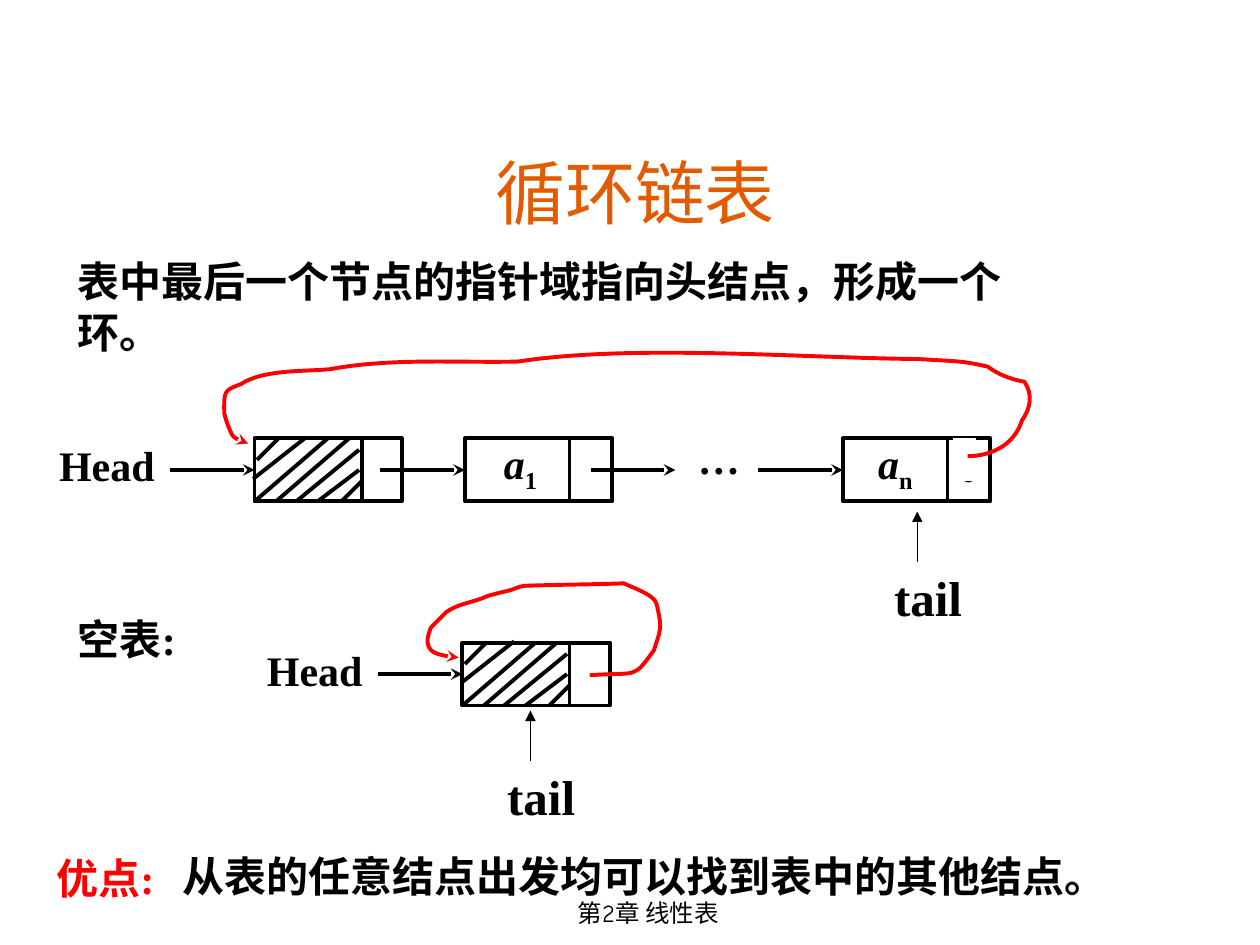
from lxml import etree
from pptx import Presentation, util as u
from pptx.dml.color import RGBColor
from pptx.enum import shapes, text
from pptx.oxml.ns import qn

PX = 9144  # 100 px to the inch
BLACK, RED, WHITE = "000000", "FF0000", "FFFFFF"
ROMAN, COMIC = "Times New Roman", "Comic Neue"

prs = Presentation()
prs.slide_width, prs.slide_height = 1000 * PX, 750 * PX
slide = prs.slides.add_slide(prs.slide_layouts[6])
items = slide.shapes


def paint(shape, fill=None, line=None, width=2.25, arrow=None):
    """Set fill and line; arrow is a pair such as ("tailEnd", "stealth")."""
    if hasattr(shape, "fill"):
        shape.shadow.inherit = False
        if fill:
            shape.fill.solid()
            shape.fill.fore_color.rgb = RGBColor.from_string(fill)
        else:
            shape.fill.background()
    else:
        etree.SubElement(shape._element.spPr, qn("a:effectLst"))
    if line:
        shape.line.color.rgb = RGBColor.from_string(line)
        shape.line.width = u.Pt(width)
    else:
        shape.line.fill.background()
    if arrow:
        end, kind = arrow
        etree.SubElement(shape.line._get_or_add_ln(), qn("a:" + end), type=kind)


def write(shape, runs, size, font=ROMAN, color=BLACK, bold=True, align="LEFT",
          anchor="TOP", wrap=True):
    """Fill a shape with one paragraph of (words, style) runs."""
    frame = shape.text_frame
    frame.word_wrap = wrap
    frame.vertical_anchor = text.MSO_ANCHOR[anchor]
    para = frame.paragraphs[0]
    para.alignment = text.PP_ALIGN[align]
    para._p.get_or_add_pPr().set("hangingPunct", "0")
    for words, style in runs:
        run = para.add_run()
        run.text = words
        run.font.size = u.Pt(size)
        run.font.name = font
        run.font.bold = bold
        run.font.color.rgb = RGBColor.from_string(color)
        if style == "italic":
            run.font.italic = True
        elif style == "sub":
            run.font._element.set("baseline", "-25000")


# Title and footer
for words, place, size, color, anchor in [
    ("循环链表", (75, 107, 858, 83), 40, "E25B00", "BOTTOM"),
    ("第2章 线性表", (356, 708, 317, 50), 14, BLACK, "TOP"),
]:
    box = items.add_textbox(*[n * PX for n in place])
    write(box, [(words, "")], size, COMIC, color, False, "CENTER", anchor)

# Nodes: left, top, offset of the divider, hatched or not
hatch = [(19, 0, 2, 17), (41, -1, -1, 32), (75, 0, 17, 50), (83, 25, 50, 50),
         (58, 0, 0, 50), (83, 9, 33, 50), (85, 34, 69, 50)]
for left, top, split, head in [(202, 348, 85, True), (369, 348, 83, False),
                               (669, 348, 83, False), (367, 510, 85, True)]:
    node = items.add_shape(shapes.MSO_SHAPE.RECTANGLE, left * PX, top * PX,
                           117 * PX, 50 * PX)
    paint(node, line=BLACK)
    for x1, y1, x2, y2 in [(split, 0, split, 50)] + (hatch if head else []):
        stroke = items.add_connector(
            shapes.MSO_CONNECTOR.STRAIGHT, (left + x1) * PX, (top + y1) * PX,
            (left + x2) * PX, (top + y2) * PX)
        paint(stroke, line=BLACK)

# Pointers between nodes
for left, y in [(135, 373), (302, 373), (469, 373), (602, 373), (300, 535)]:
    link = items.add_connector(shapes.MSO_CONNECTOR.STRAIGHT, left * PX, y * PX,
                               (left + 67) * PX, y * PX)
    paint(link, line=BLACK, arrow=("tailEnd", "stealth"))

# Labels
for runs, place, size, color in [
    ([("表中最后一个节点的指针域指向头结点，形成一个环。", "")],
     (52, 198, 817, 50), 24, BLACK),
    ([("a", "italic"), ("1", "sub")], (390, 342, 75, 56), 24, BLACK),
    ([("…", "")], (544, 338, 83, 50), 24, BLACK),
    ([("a", "italic"), ("n", "sub")], (687, 342, 75, 56), 24, BLACK),
    ([("Head", "")], (37, 344, 108, 50), 24, BLACK),
    ([("0", "")], (752, 350, 75, 44), 20, BLACK),
    ([("空表:", "")], (52, 482, 117, 50), 24, BLACK),
    ([("Head", "")], (202, 507, 108, 50), 24, BLACK),
    ([("从表的任意结点出发均可以找到表中的其他结点。", "")],
     (135, 670, 813, 50), 24, BLACK),
    ([("优点:", "")], (35, 672, 175, 50), 24, RED),
]:
    label = items.add_textbox(*[n * PX for n in place])
    write(label, runs, size, color=color)

# White patch under the start of the long loop
patch = items.add_shape(shapes.MSO_SHAPE.RECTANGLE, 757 * PX, 348 * PX,
                        17 * PX, 33 * PX)
paint(patch, WHITE, WHITE, 0.75)

# Tail markers
for x, y in [(728, 406), (421, 564)]:
    rise = items.add_connector(shapes.MSO_CONNECTOR.STRAIGHT, x * PX,
                               (y + 48) * PX, x * PX, y * PX)
    paint(rise, line=BLACK, width=0.75, arrow=("tailEnd", "triangle"))
    tail = items.add_shape(shapes.MSO_SHAPE.RECTANGLE, (x - 31) * PX,
                           (y + 40) * PX, 79 * PX, 55 * PX)
    paint(tail, WHITE)
    write(tail, [("tail", "")], 28, align="CENTER", anchor="MIDDLE", wrap=False)

# Red loops: start, then cubic curves as two controls and an end
long = [(190, 350, 185, 348, 182, 340), (180, 336, 178, 328, 178, 328),
        (178, 311, 177, 310, 191, 305), (209, 293, 242, 295, 262, 293),
        (311, 284, 362, 288, 411, 287), (502, 273, 634, 284, 729, 285),
        (760, 287, 762, 286, 784, 291), (792, 297, 802, 301, 813, 303),
        (820, 313, 818, 324, 811, 334), (805, 353, 787, 362, 768, 362)]
short = [(506, 533, 502, 540, 519, 516), (524, 500, 526, 500, 521, 479),
         (519, 472, 501, 466, 495, 463), (469, 464, 443, 464, 417, 465),
         (412, 465, 408, 468, 403, 469), (398, 470, 387, 473, 387, 473),
         (377, 478, 363, 479, 354, 486), (350, 490, 342, 498, 342, 498),
         (340, 504, 337, 510, 342, 516), (345, 519, 358, 522, 364, 522)]
for start, curves, place, end in [
    ((197, 352), long, (177, 273, 643, 89), "headEnd"),
    ((468, 536), short, (337, 463, 189, 77), "tailEnd"),
]:
    pen = items.build_freeform(*start, scale=PX)
    pen.add_line_segments([curve[4:] for curve in curves], close=False)
    loop = pen.convert_to_shape()
    left, top, width, height = place
    loop.left, loop.top, loop.width, loop.height = [n * PX for n in place]
    route = loop._element.spPr.find(".//" + qn("a:path"))
    route.set("w", str(width))
    route.set("h", str(height))
    for step in list(route):
        route.remove(step)
    for tag, dots in [("moveTo", start)] + [("cubicBezTo", c) for c in curves]:
        step = etree.SubElement(route, qn("a:" + tag))
        for x, y in zip(dots[::2], dots[1::2]):
            etree.SubElement(step, qn("a:pt"), x=str(x - left), y=str(y - top))
    paint(loop, line=RED, arrow=(end, "stealth"))

prs.save("out.pptx")
